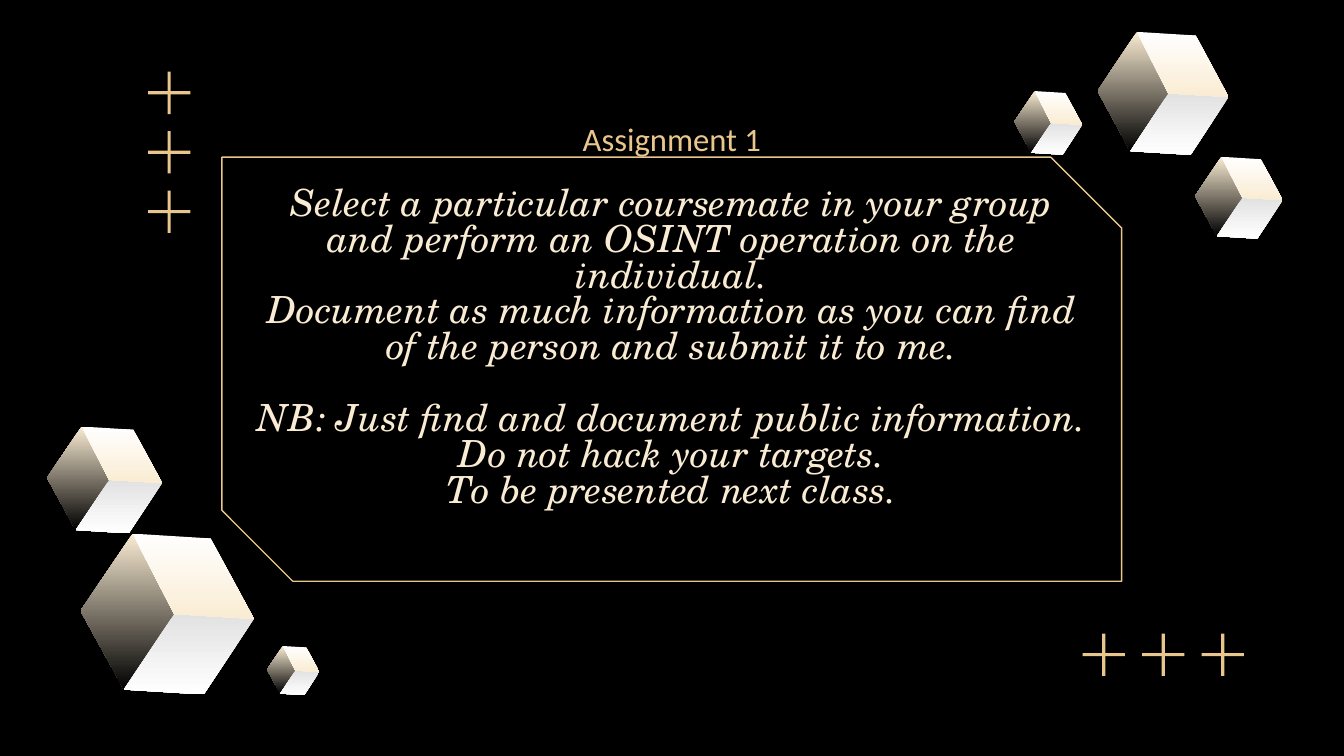
from pptx import Presentation
from pptx.dml.color import RGBColor
from pptx.enum import shapes, text
from pptx.util import Pt

COLORS = {"black": "000000", "gold": "E9C78C", "cream": "FAECD3",
          "white": "FFFFFF", "grey": "E2E2E2"}

# Cube corners as fractions of the cube's box
TOP, LEFT, BOTTOM_LEFT, CENTRE = (0.3, 0), (0, 0.48), (0.25, 0.97), (0.54, 0.5)
TOP_RIGHT, RIGHT, BOTTOM_RIGHT = (0.75, 0.03), (1, 0.53), (0.71, 1)
FACES = [
    ((TOP, LEFT, BOTTOM_LEFT, CENTRE), ("cream", "black")),
    ((CENTRE, RIGHT, BOTTOM_RIGHT, BOTTOM_LEFT), ("grey", "white")),
    ((TOP, TOP_RIGHT, RIGHT, CENTRE), ("white", "cream")),
]
CUBES = [  # left, top, width, height
    (43.2, 285.9, 92.9, 86.2),
    (25.2, 228.5, 61.7, 57.2),
    (143.1, 346.1, 28, 26.3),
    (588, 17.1, 70.2, 65.9),
    (640.2, 84, 47, 43.9),
    (543.4, 48.8, 36.4, 34.1),
]
INSTRUCTIONS = [  # text, space before
    ("Select a particular coursemate in your group and perform an OSINT "
     "operation on the individual.", 0),
    ("Document as much information as you can find of the person and "
     "submit it to me.", 0),
    ("NB: Just find and document public information.", 19.2),
    ("Do not hack your targets.", 0),
    ("To be presented next class.", 0),
]


def rgb(name):
    return RGBColor.from_string(COLORS[name])


def add_frame(s, box):
    sp = s.shapes.add_shape(shapes.MSO_SHAPE.SNIP_2_DIAG_RECTANGLE, *map(Pt, box))
    sp.adjustments[0], sp.adjustments[1] = 0, 0.167
    sp.shadow.inherit = False
    sp.fill.background()
    sp.line.color.rgb = rgb("gold")
    sp.line.width = Pt(0.75)


def add_text(s, box, lines, font, size, color, italic=None, spacing=None):
    """Centred text, one paragraph per (text, space before) pair."""
    tf = s.shapes.add_textbox(*map(Pt, box)).text_frame
    tf.word_wrap = True
    tf.vertical_anchor = text.MSO_ANCHOR.MIDDLE
    tf.margin_left = tf.margin_right = tf.margin_top = tf.margin_bottom = Pt(7.2)
    for i, (line, before) in enumerate(lines):
        p = tf.add_paragraph() if i else tf.paragraphs[0]
        p.alignment = text.PP_ALIGN.CENTER
        p.line_spacing = spacing
        p.space_before = Pt(before)
        r = p.add_run()
        r.text = line
        r.font.name, r.font.size, r.font.italic = font, Pt(size), italic
        r.font.color.rgb = rgb(color)


def add_pluses(s, box, count=3, thick=1.7):
    """Evenly spaced plus signs along the longer side of the box."""
    left, top, width, height = box
    size = min(width, height)
    for i in range(count):
        x = left + i * (width - size) / (count - 1)
        y = top + i * (height - size) / (count - 1)
        inset = (size - thick) / 2
        for bar in ((x, y + inset, size, thick), (x + inset, y, thick, size)):
            sp = s.shapes.add_shape(shapes.MSO_SHAPE.RECTANGLE, *map(Pt, bar))
            sp.shadow.inherit = False
            sp.fill.solid()
            sp.fill.fore_color.rgb = rgb("gold")
            sp.line.fill.background()


def add_cube(s, box):
    left, top, width, height = box
    for corners, stops in FACES:
        points = [(Pt(left + x * width), Pt(top + y * height)) for x, y in corners]
        builder = s.shapes.build_freeform(*points[0])
        builder.add_line_segments(points[1:], close=True)
        sp = builder.convert_to_shape()
        sp.shadow.inherit = False
        sp.line.fill.background()
        sp.fill.gradient()
        sp.fill.gradient_angle = 270
        for stop, name, position in zip(sp.fill.gradient_stops, stops, (0, 1)):
            stop.color.rgb = rgb(name)
            stop.position = position


def main():
    prs = Presentation()
    prs.slide_width, prs.slide_height = Pt(720), Pt(405)
    s = prs.slides.add_slide(prs.slide_layouts[6])
    s.background.fill.solid()
    s.background.fill.fore_color.rgb = rgb("black")

    add_frame(s, (118.9, 84.2, 482, 227.2))
    add_text(s, (128.2, 103.7, 463.7, 166.6), INSTRUCTIONS,
             "TeX Gyre Schola", 20, "cream", italic=True, spacing=0.8)
    add_text(s, (128.2, 55.4, 463.7, 37.4), [("Assignment 1", 0)],
             "Calibri", 17.5, "gold")
    add_pluses(s, (79.3, 38.4, 22.7, 86.4))
    add_pluses(s, (580, 339.4, 86.4, 22.7))
    for box in CUBES:
        add_cube(s, box)
    prs.save("out.pptx")


if __name__ == "__main__":
    main()
